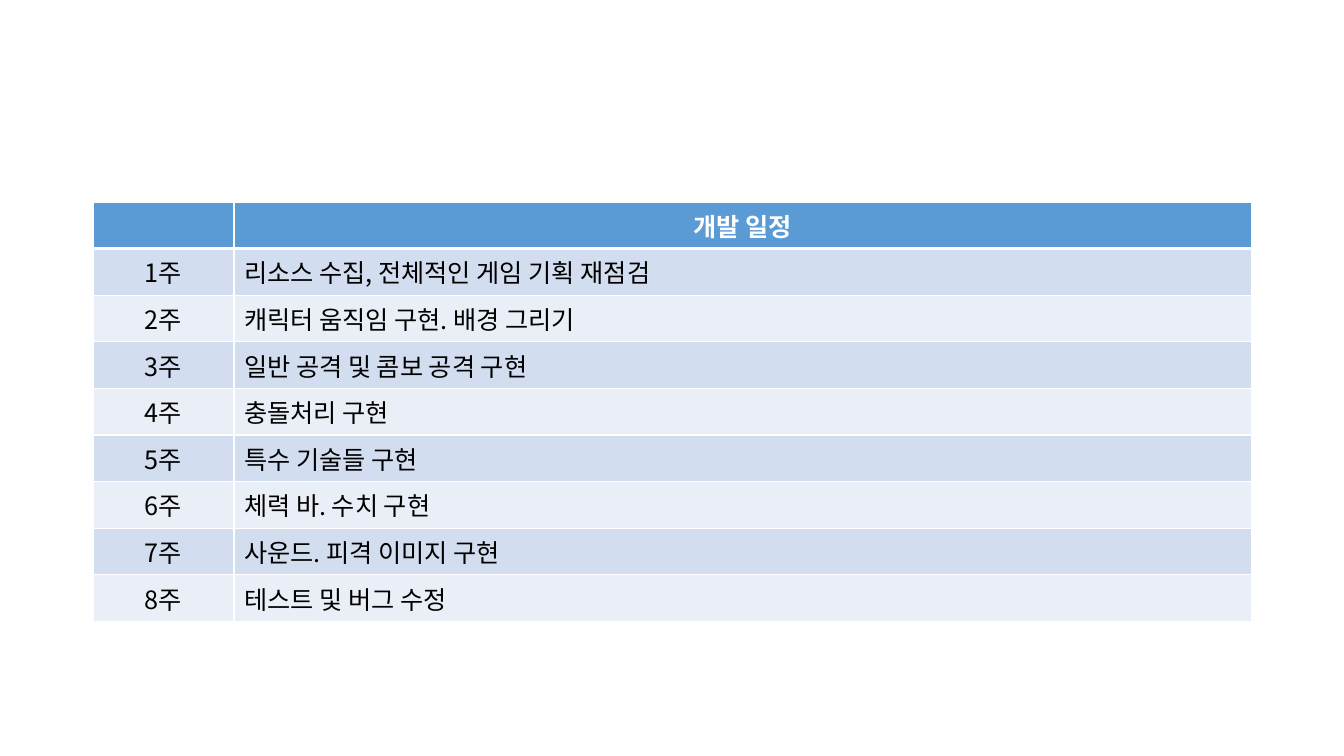
from lxml.etree import SubElement
from pptx import Presentation
from pptx.dml.color import RGBColor
from pptx.enum.text import PP_ALIGN
from pptx.oxml import parse_xml
from pptx.oxml.ns import nsdecls, qn
from pptx.util import Pt

HEADING = "개발 일정"
TASKS = [
    "리소스 수집, 전체적인 게임 기획 재점검",
    "캐릭터 움직임 구현. 배경 그리기",
    "일반 공격 및 콤보 공격 구현",
    "충돌처리 구현",
    "특수 기술들 구현",
    "체력 바. 수치 구현",
    "사운드. 피격 이미지 구현",
    "테스트 및 버그 수정",
]
FONT = "Noto Sans CJK KR"
WHITE = RGBColor(0xFF, 0xFF, 0xFF)
BLACK = RGBColor(0x00, 0x00, 0x00)
HEADER_BLUE = RGBColor(0x5B, 0x9B, 0xD5)
BAND_DARK = RGBColor(0xD2, 0xDE, 0xEF)
BAND_LIGHT = RGBColor(0xEA, 0xEF, 0xF7)

SLIDE_WIDTH, SLIDE_HEIGHT = 1344, 756
LEFT, TOP = 93, 202
WEEK_WIDTH, TASK_WIDTH = 141, 1018
ROW_HEIGHT = 41


def px(length):
    return round(length * 914400 / 100.8)


def set_borders(cell, widths):
    properties = cell._tc.get_or_add_tcPr()
    for position, (side, width) in enumerate(widths.items()):
        properties.insert(position, parse_xml(
            f'<a:ln{side} {nsdecls("a")} w="{Pt(width)}"><a:solidFill>'
            f'<a:srgbClr val="{WHITE}"/></a:solidFill></a:ln{side}>'))


def fill_cell(cell, text, row, column):
    is_header = row == 0
    cell.text = text
    paragraph = cell.text_frame.paragraphs[0]
    paragraph.alignment = PP_ALIGN.CENTER if is_header or column == 0 else PP_ALIGN.LEFT
    font = paragraph.font
    font.name = FONT
    font.size = Pt(18)
    font.bold = is_header
    font.color.rgb = WHITE if is_header else BLACK
    defaults = paragraph._p.pPr.find(qn("a:defRPr"))
    SubElement(defaults, qn("a:ea"), typeface=FONT)
    cell.fill.solid()
    cell.fill.fore_color.rgb = (
        HEADER_BLUE if is_header else BAND_DARK if row % 2 else BAND_LIGHT)
    set_borders(cell, {"L": 1, "R": 1, "T": 3 if row == 1 else 1, "B": 3 if is_header else 1})


presentation = Presentation()
presentation.slide_width = px(SLIDE_WIDTH)
presentation.slide_height = px(SLIDE_HEIGHT)
slide = presentation.slides.add_slide(presentation.slide_layouts[6])

rows = [("", HEADING)] + [(f"{week}주", task) for week, task in enumerate(TASKS, 1)]
schedule = slide.shapes.add_table(
    len(rows), 2, px(LEFT), px(TOP),
    px(WEEK_WIDTH + TASK_WIDTH), px(ROW_HEIGHT * len(rows))).table
for column, width in enumerate((WEEK_WIDTH, TASK_WIDTH)):
    schedule.columns[column].width = px(width)
for row, texts in enumerate(rows):
    schedule.rows[row].height = px(ROW_HEIGHT)
    for column, text in enumerate(texts):
        fill_cell(schedule.cell(row, column), text, row, column)

presentation.save("out.pptx")
